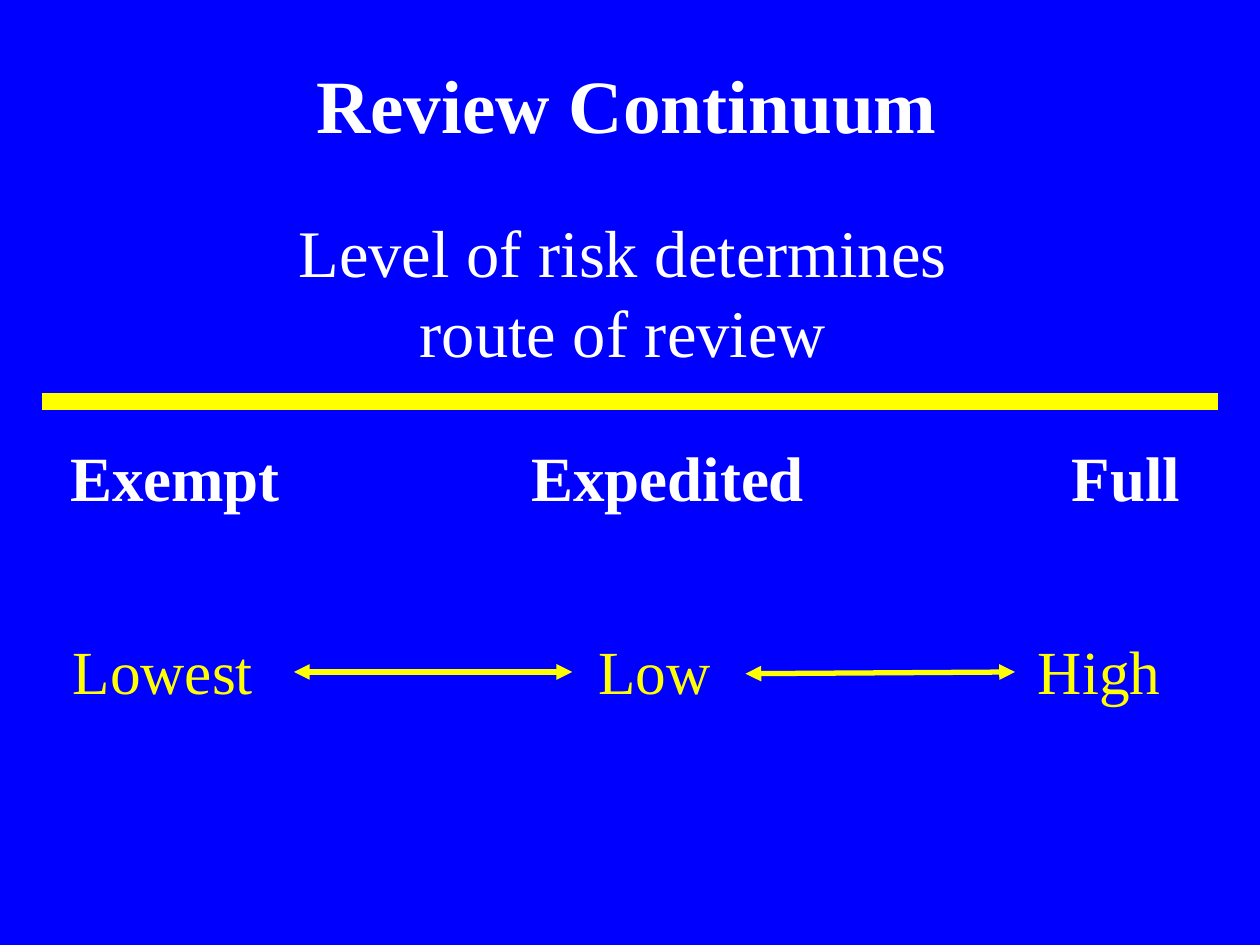
from pptx import Presentation
from pptx import util as u
from pptx.dml.color import RGBColor
from pptx.enum import shapes, text
from pptx.oxml import ns
from lxml import etree

BLUE = RGBColor(0, 0, 255)
WHITE = RGBColor(255, 255, 255)
YELLOW = RGBColor(255, 255, 0)


def add_child(parent, tag, **attributes):
    return etree.SubElement(parent, ns.qn(tag), attributes)


class SlideBuilder:
    font_name = "Times New Roman"

    def __init__(self, slide):
        self.slide = slide
        slide.background.fill.solid()
        slide.background.fill.fore_color.rgb = BLUE

    def text(self, lines, left, top, width, height, size, color=WHITE,
             bold=False, align=text.PP_ALIGN.CENTER, tabs=()):
        box = self.slide.shapes.add_textbox(
            u.Pt(left), u.Pt(top), u.Pt(width), u.Pt(height))
        frame = box.text_frame
        frame.word_wrap = True
        frame.text = "\n".join(lines)
        for para in frame.paragraphs:
            para.alignment = align
            if tabs:
                tab_list = add_child(para._p.get_or_add_pPr(), "a:tabLst")
                for stop in tabs:
                    add_child(tab_list, "a:tab", pos=str(u.Pt(stop)), algn="l")
            para.font.name = self.font_name
            para.font.size = u.Pt(size)
            para.font.bold = bold
            para.font.color.rgb = color

    def row(self, labels, left, top, width, height, size, tabs, **style):
        self.text(["\t".join(labels)], left, top, width, height, size,
                  align=text.PP_ALIGN.LEFT, tabs=tabs, **style)

    def line(self, start, end, weight, arrows=False):
        connector = self.slide.shapes.add_connector(
            shapes.MSO_CONNECTOR.STRAIGHT, *map(u.Pt, start + end))
        connector.line.color.rgb = YELLOW
        connector.line.width = u.Pt(weight)
        if arrows:
            outline = connector.line._get_or_add_ln()
            for tag in ("a:headEnd", "a:tailEnd"):
                add_child(outline, tag, type="triangle")
        add_child(connector._element.spPr, "a:effectLst")


def main():
    deck = Presentation()
    deck.slide_width, deck.slide_height = u.Pt(720), u.Pt(540)
    page = SlideBuilder(deck.slides.add_slide(deck.slide_layouts[6]))

    page.text(["Review Continuum"], 168, 30, 380, 58, 43, bold=True)
    page.text(["Level of risk determines", "route of review"],
              159, 117, 394, 98, 38)
    page.line((24, 229.5), (696, 229.5), 10)
    page.row(["Exempt", "Expedited", "Full"], 33, 247, 687, 59, 36,
             tabs=(263.5, 572.5), bold=True)
    page.row(["Lowest", "Low", "High"], 34.5, 358.5, 640, 49, 35,
             tabs=(300.5, 551.5), color=YELLOW)
    page.line((168, 384), (327, 384), 3, arrows=True)
    page.line((426, 385), (580, 384), 3, arrows=True)

    deck.save("out.pptx")


if __name__ == "__main__":
    main()
